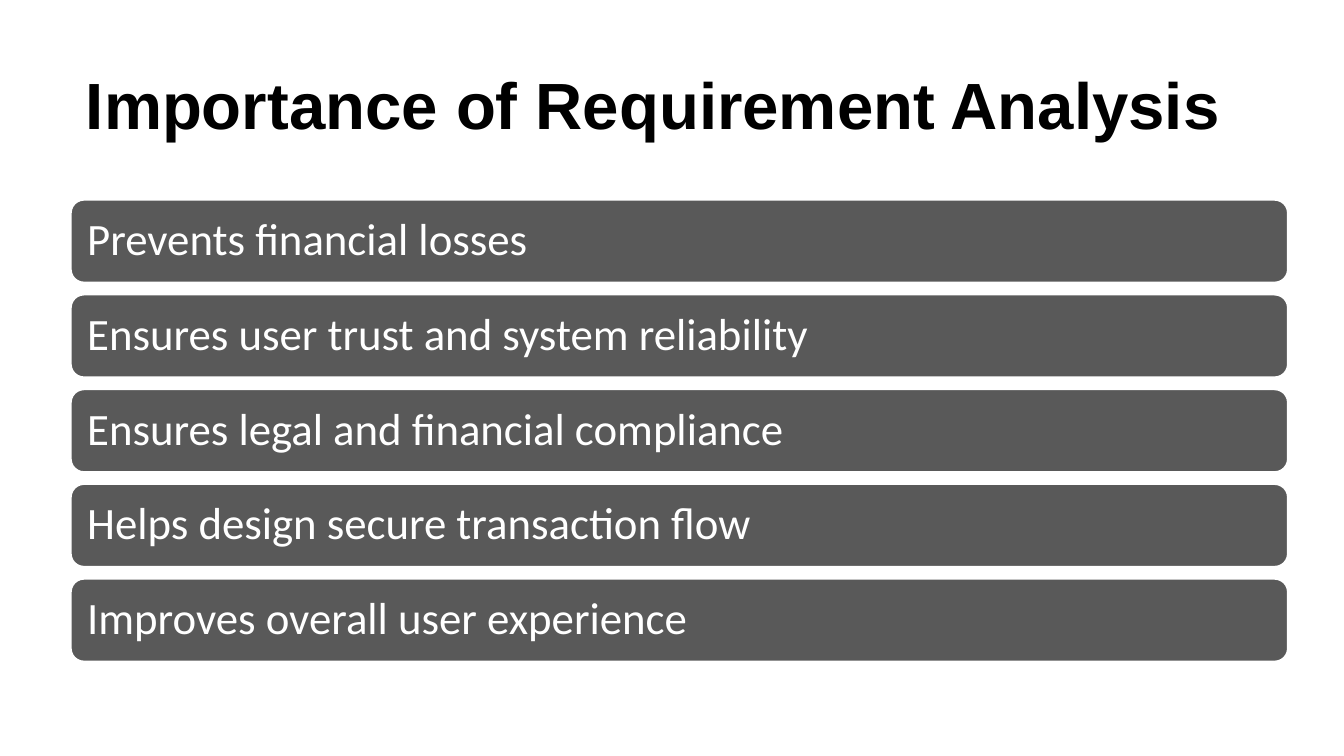
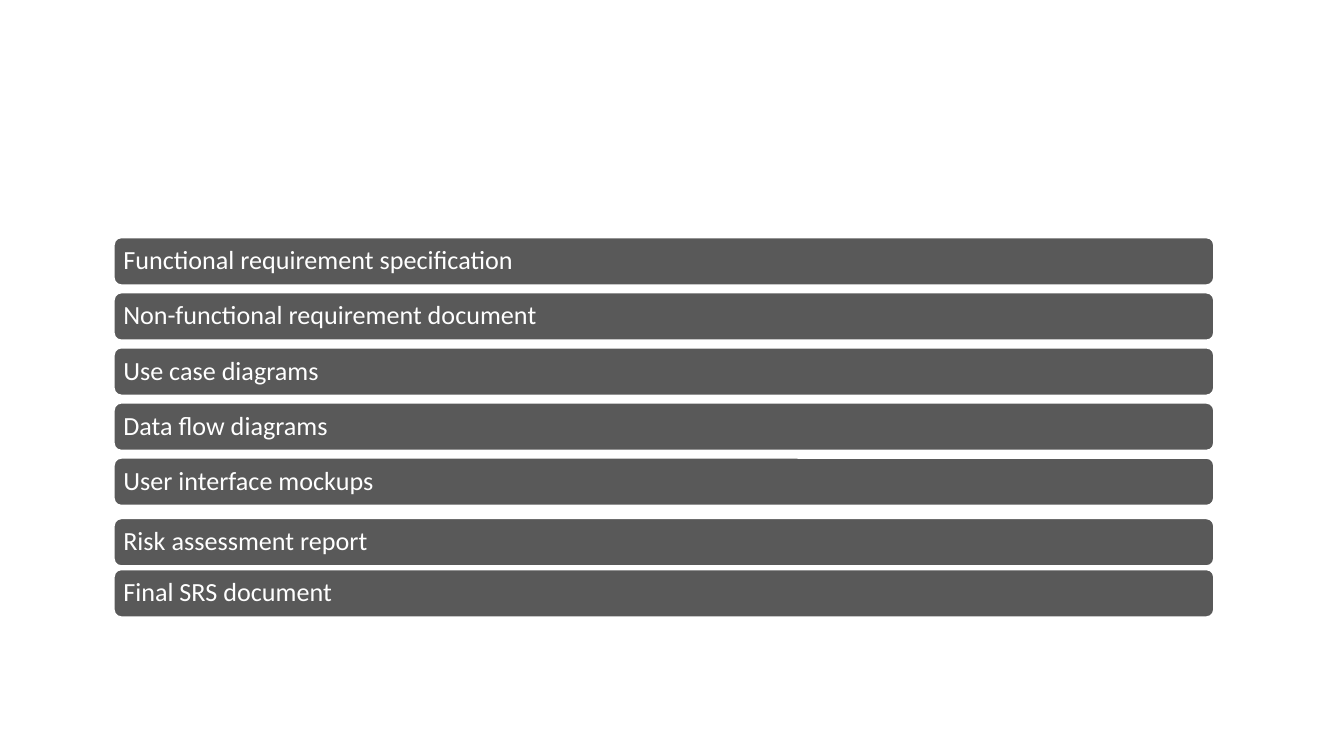
from pptx import Presentation
from pptx.dml.color import RGBColor
from pptx.enum.shapes import MSO_SHAPE
from pptx.enum.text import MSO_ANCHOR, MSO_AUTO_SIZE, PP_ALIGN
from pptx.util import Inches, Pt

BLACK = RGBColor(0x00, 0x00, 0x00)
WHITE = RGBColor(0xFF, 0xFF, 0xFF)
GRAY = RGBColor(0x59, 0x59, 0x59)


def add_bar(slide, label, left, top, width, height, inset, size):
    bar = slide.shapes.add_shape(
        MSO_SHAPE.ROUNDED_RECTANGLE,
        Inches(left), Inches(top), Inches(width), Inches(height))
    bar.shadow.inherit = False
    bar.fill.solid()
    bar.fill.fore_color.rgb = GRAY
    bar.line.color.rgb = WHITE
    bar.line.width = Pt(2)
    frame = bar.text_frame
    frame.word_wrap = True
    frame.vertical_anchor = MSO_ANCHOR.MIDDLE
    frame.margin_left = frame.margin_right = Inches(inset)
    frame.margin_top = frame.margin_bottom = Inches(inset)
    paragraph = frame.paragraphs[0]
    paragraph.text = label
    paragraph.alignment = PP_ALIGN.LEFT
    paragraph.line_spacing = 0.9
    paragraph.font.name = "Calibri"
    paragraph.font.size = Pt(size)
    paragraph.font.color.rgb = WHITE


deck = Presentation()
deck.slide_width = Inches(10)
deck.slide_height = Inches(10 * 9 / 16)
blank = deck.slide_layouts[6]

importance = deck.slides.add_slide(blank)
title = importance.shapes.add_textbox(
    Inches(0.52), Inches(0.43), Inches(8.82), Inches(0.69))
title.text_frame.word_wrap = True
title.text_frame.auto_size = MSO_AUTO_SIZE.SHAPE_TO_FIT_TEXT
heading = title.text_frame.paragraphs[0]
heading.text = "Importance of Requirement Analysis "
heading.alignment = PP_ALIGN.CENTER
heading.font.name = "Arial"
heading.font.size = Pt(35)
heading.font.bold = True
heading.font.color.rgb = BLACK

benefits = [
    "Prevents financial losses",
    "Ensures user trust and system reliability",
    "Ensures legal and financial compliance",
    "Helps design secure transaction flow",
    "Improves overall user experience",
]
first_top, last_top = 1.48, 4.3
pitch = (last_top - first_top) / (len(benefits) - 1)
for row, benefit in enumerate(benefits):
    add_bar(importance, benefit, 0.52, first_top + row * pitch, 9.07, 0.63, 0.1, 24)

deliverables = deck.slides.add_slide(blank)
documents = [
    "Functional requirement specification",
    "Non-functional requirement document",
    "Use case diagrams",
    "Data flow diagrams",
    "User interface mockups",
    "Risk assessment report",
    "Final SRS document",
]
document_tops = [1.76 + 0.41 * row for row in range(5)] + [3.85, 4.23]
for document, top in zip(documents, document_tops):
    add_bar(deliverables, document, 0.84, top, 8.2, 0.37, 0.06, 14)

deck.save("out.pptx")
